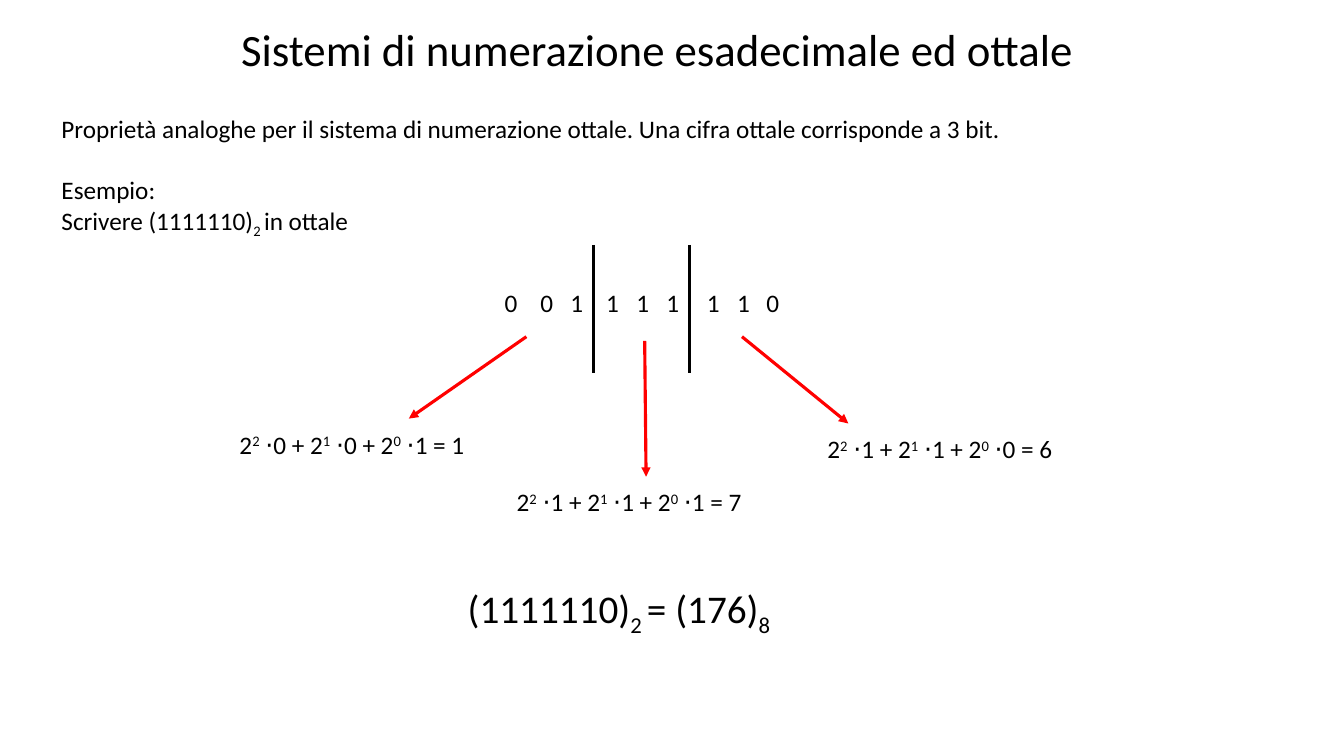
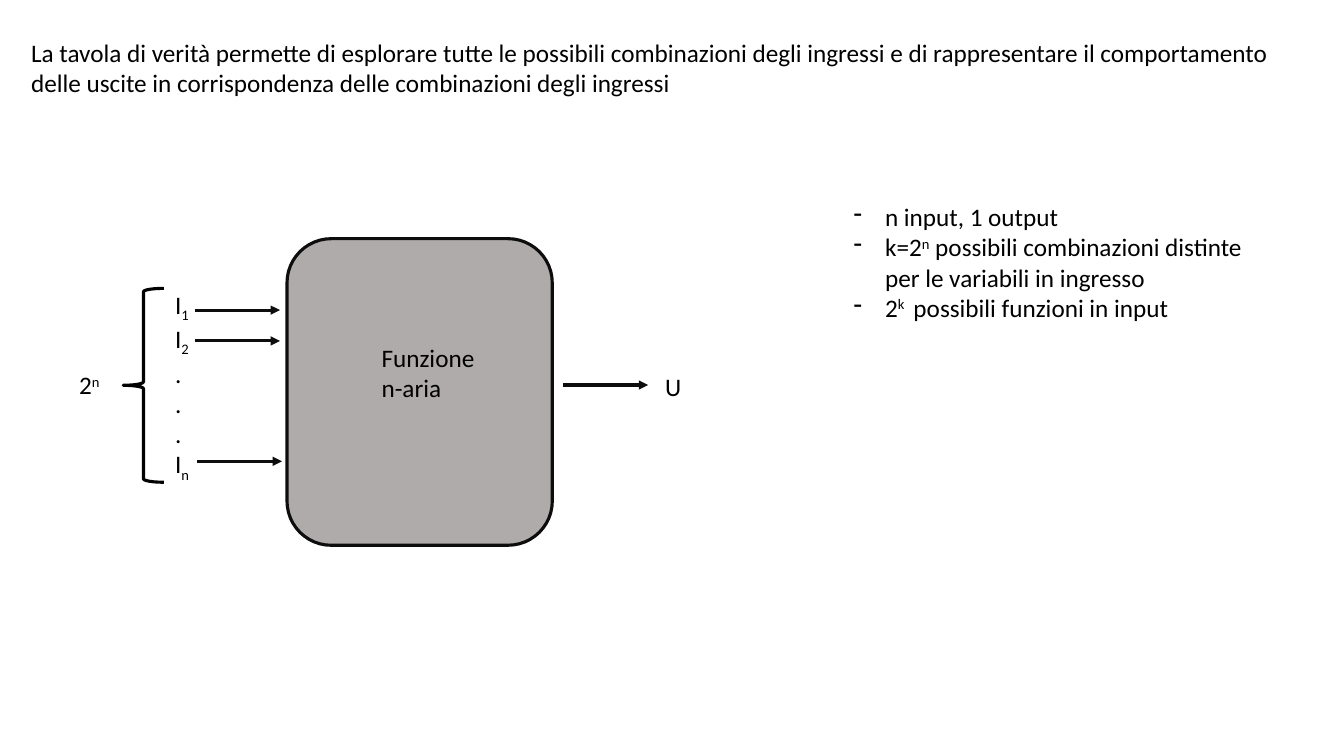
from dataclasses import dataclass

from pptx import Presentation
from pptx.dml.color import RGBColor
from pptx.enum.shapes import MSO_CONNECTOR, MSO_SHAPE
from pptx.enum.text import MSO_ANCHOR, MSO_AUTO_SIZE, PP_ALIGN
from pptx.oxml.ns import qn
from pptx.util import Pt
from lxml.etree import SubElement


@dataclass(frozen=True)
class Theme:
    font: str = "Calibri"
    title_size: int = 32
    result_size: int = 28
    body_size: int = 18
    line_width: float = 2.25
    ink: RGBColor = RGBColor(0, 0, 0)
    outline: RGBColor = RGBColor(0x0D, 0x0D, 0x0D)
    accent: RGBColor = RGBColor(0xFF, 0, 0)
    block: RGBColor = RGBColor(0xAF, 0xAB, 0xAB)


THEME = Theme()
BASELINES = {"^": "30000", "_": "-25000"}
LIST_INDENT = 22.5


def write_spans(para, markup, size):
    for part in markup.split("|"):
        baseline = BASELINES.get(part[0])
        span = para.add_run()
        span.text = part[1:] if baseline else part
        span.font.name = THEME.font
        span.font.size = Pt(size)
        span.font.color.rgb = THEME.ink
        if baseline:
            span.font._element.set("baseline", baseline)


def set_bullet(para, bullet):
    properties = para._p.get_or_add_pPr()
    indent = Pt(LIST_INDENT) if bullet else 0
    properties.set("marL", str(indent))
    properties.set("indent", str(-indent))
    if bullet:
        SubElement(properties, qn("a:buFontTx"))
        SubElement(properties, qn("a:buChar"), char=bullet)
    else:
        SubElement(properties, qn("a:buNone"))


def fill_text(box, lines, size=THEME.body_size, bullet=None):
    frame = box.text_frame
    frame.word_wrap = True
    frame.auto_size = MSO_AUTO_SIZE.NONE
    frame.vertical_anchor = MSO_ANCHOR.TOP
    for index, markup in enumerate(lines):
        para = frame.add_paragraph() if index else frame.paragraphs[0]
        set_bullet(para, bullet)
        para.alignment = PP_ALIGN.LEFT
        para.space_before = Pt(0)
        write_spans(para, markup, size)
    return frame.paragraphs


def place(box, left, top, width, height):
    box.left, box.top = Pt(left), Pt(top)
    box.width, box.height = Pt(width), Pt(height)
    return box


def add_text(page, area, *lines, size=THEME.body_size):
    box = page.shapes.add_textbox(*map(Pt, area))
    fill_text(box, lines, size)
    return box


def add_digit(page, left, top, digit):
    frame = add_text(page, (left, top, 14, 22), digit).text_frame
    frame.margin_left = frame.margin_right = Pt(0)
    frame.margin_top = frame.margin_bottom = Pt(0)


def add_line(page, start, end, color, arrow=False):
    line = page.shapes.add_connector(
        MSO_CONNECTOR.STRAIGHT, *map(Pt, (*start, *end)))
    line.line.color.rgb = color
    line.line.width = Pt(THEME.line_width)
    if arrow:
        SubElement(line.line._get_or_add_ln(), qn("a:tailEnd"), type="triangle")
    SubElement(line._element.spPr, qn("a:effectLst"))


def add_outlined(page, kind, area, color, fill=None):
    shape = page.shapes.add_shape(kind, *map(Pt, area))
    shape.shadow.inherit = False
    if fill is None:
        shape.fill.background()
    else:
        shape.fill.solid()
        shape.fill.fore_color.rgb = fill
    shape.line.color.rgb = color
    shape.line.width = Pt(THEME.line_width)


def add_page(deck, title_area, title, title_size, body_area, body, bullet=None):
    page = deck.slides.add_slide(deck.slide_layouts[1])
    heading, content = page.placeholders
    fill_text(place(heading, *title_area), [title], title_size)
    return page, fill_text(place(content, *body_area), body, bullet=bullet)


def expansion(bits):
    value = int(bits, 2)
    high, middle, low = bits
    return f"2|^2| ⋅{high} + 2|^1| ⋅{middle} + 2|^0| ⋅{low} = {value}"


def build_octal(deck):
    page, intro = add_page(
        deck, (165, 12, 630, 46),
        "Sistemi di numerazione esadecimale ed ottale", THEME.title_size,
        (36.7, 77.5, 745, 94),
        ["Proprietà analoghe per il sistema di numerazione ottale. "
         "Una cifra ottale corrisponde a 3 bit.",
         "Esempio:",
         "Scrivere (1111110)|_2 |in ottale"])
    intro[1].space_before = Pt(22)

    groups = ("001", "111", "110")
    digit_lefts = (360.5, 386, 407.5, 433, 454.5, 476, 505, 526.5, 547.5)
    for left, digit in zip(digit_lefts, "".join(groups)):
        add_digit(page, left, 205, digit)
    for x in (424, 492.5):
        add_line(page, (x, 175), (x, 266.5), THEME.ink)

    arrows = (((376, 240.5), (292, 299)),
              ((460.5, 243.5), (461.5, 340.5)),
              ((530, 240.5), (606, 302.5)))
    areas = ((164, 303, 268, 29), (362, 344, 197, 29), (584, 306, 216, 29))
    for bits, (start, end), area in zip(groups, arrows, areas):
        add_line(page, start, end, THEME.accent, arrow=True)
        add_text(page, area, expansion(bits))

    add_text(page, (327, 414, 266, 41), "(1111110)|_2 |= (176)|_8",
             size=THEME.result_size)


def build_truth_table(deck):
    page, _ = add_page(
        deck, (15, 23, 912, 51),
        "La tavola di verità permette di esplorare tutte le possibili "
        "combinazioni degli ingressi e di rappresentare il comportamento "
        "delle uscite in corrispondenza delle combinazioni degli ingressi",
        THEME.body_size,
        (602.5, 140.3, 320, 117),
        ["n input, 1 output",
         "k=2|^n| possibili combinazioni distinte per le variabili in ingresso",
         "2|^k | possibili funzioni in input"],
        bullet="-")

    add_outlined(page, MSO_SHAPE.ROUNDED_RECTANGLE, (205, 170.5, 189.5, 219),
                 THEME.outline, THEME.block)
    add_text(page, (265.5, 241, 86.5, 52.5), "Funzione", "n-aria")
    add_text(page, (118, 203, 80, 138), "I|_1", "I|_2", ".", ".", ".", "I|_n")
    add_text(page, (468, 261.5, 116, 29), "U")
    add_outlined(page, MSO_SHAPE.LEFT_BRACE, (88, 206, 29, 138.5), THEME.ink)
    add_text(page, (49.5, 260.5, 48, 29), "2|^n")

    for x, y in ((139.5, 221.5), (139.5, 243.5), (141, 329.5), (402.5, 275)):
        add_line(page, (x, y), (x + 60.5, y), THEME.outline, arrow=True)


def main():
    deck = Presentation()
    deck.slide_width, deck.slide_height = Pt(960), Pt(540)
    build_octal(deck)
    build_truth_table(deck)
    deck.save("out.pptx")


if __name__ == "__main__":
    main()
